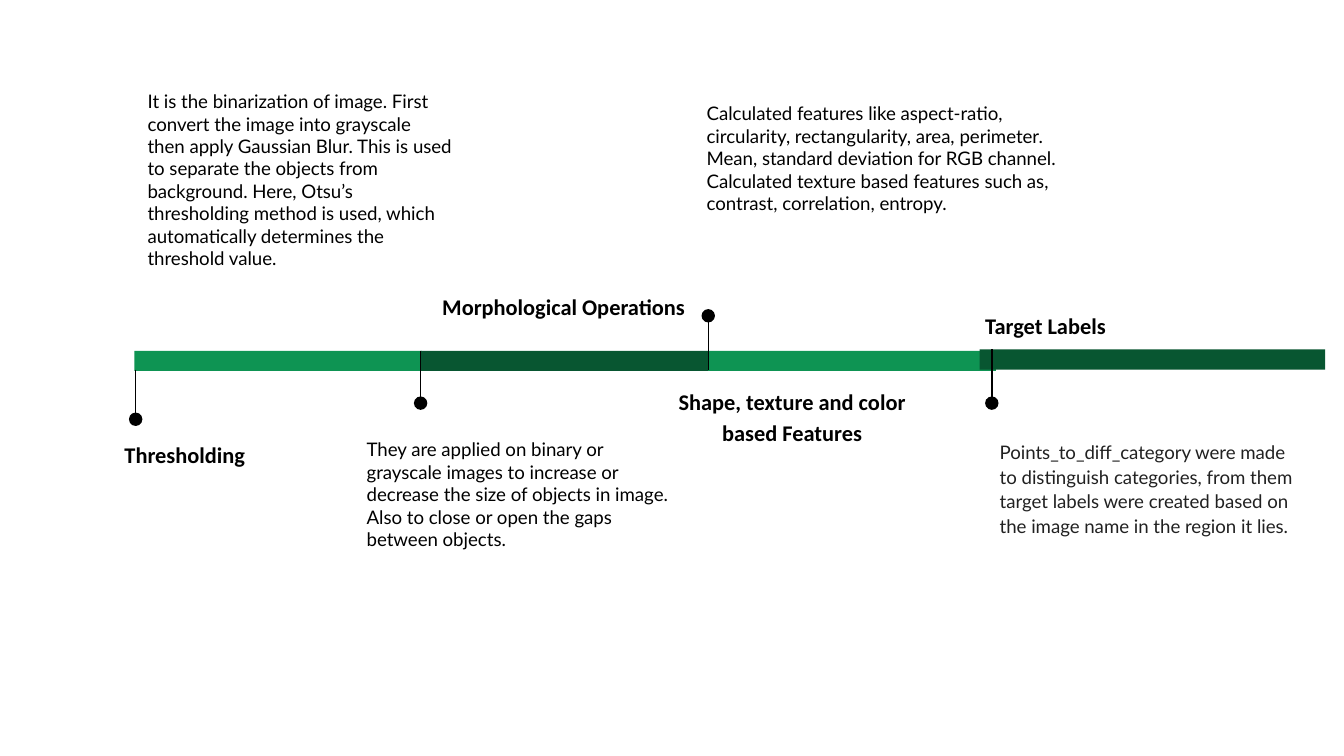
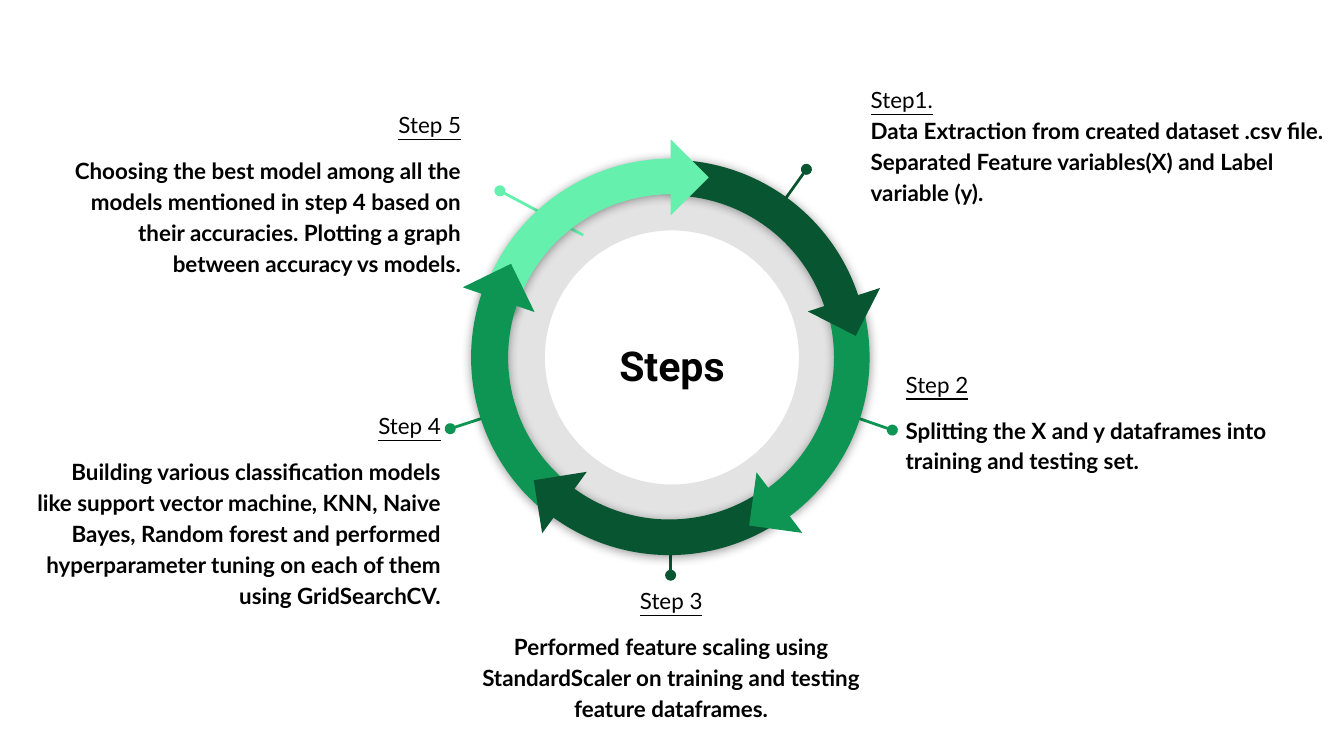
"""Build two slides: an image feature timeline and a five-step modelling cycle."""
from lxml import etree
from pptx import Presentation
from pptx.dml.color import RGBColor
from pptx.enum.shapes import MSO_CONNECTOR as LINE, MSO_SHAPE as SHAPE
from pptx.enum.text import MSO_ANCHOR as ANCHOR, PP_ALIGN as ALIGN
from pptx.oxml.ns import qn
from pptx.util import Inches, Pt

WIDE = 10
TALL = WIDE * 9 / 16
THEME = {
    "dark": "085631", "mid": "0E9453", "light": "65F0AD",
    "black": "000000", "grey": "212121", "hub": "020202",
    "head": {"name": "Calibri", "size": Pt(12), "bold": True},
    "body": {"name": "Lato", "size": Pt(10)},
    "step": {"name": "Lato", "size": Pt(12), "underline": True},
    "note": {"name": "Lato", "size": Pt(12), "bold": True},
    "title": {"name": "Roboto", "size": Pt(22), "bold": True},
}
LEAD = 1.15
LEFT, MID, RIGHT = ALIGN.LEFT, ALIGN.CENTER, ALIGN.RIGHT

STAGES = [
    {"head": "Thresholding", "head_at": (0.53, 3.15, 1.69, 0.41),
     "body": ["It is the binarization of image. First convert the image into "
              "grayscale then apply Gaussian Blur. This is used to separate the "
              "objects from background. Here, Otsu’s thresholding method is used, "
              "which automatically determines the threshold value."],
     "body_at": (1, 0.57, 2.46, 1.03),
     "bar": (1, 2.61, 2.14, 0.15), "fill": "mid", "stem": (1.01, 2.75, 3.12)},
    {"head": "Morphological Operations", "head_at": (3.03, 2.05, 2.33, 0.41),
     "body": ["They are applied on binary or grayscale images to increase or "
              "decrease the size of objects in image. Also to close or open the "
              "gaps between objects."],
     "body_at": (2.63, 3.16, 2.46, 1.03),
     "bar": (3.13, 2.61, 2.14, 0.15), "fill": "dark", "stem": (3.13, 2.61, 3)},
    {"head": "Shape, texture and color based Features",
     "head_at": (4.91, 2.76, 1.97, 0.41),
     "body": ["Calculated features like aspect-ratio, circularity, "
              "rectangularity, area, perimeter.",
              "Mean, standard deviation for RGB channel.",
              "Calculated texture based features such as, contrast, "
              "correlation, entropy."],
     "body_at": (5.16, 0.66, 2.86, 1.03),
     "bar": (5.27, 2.61, 2.14, 0.15), "fill": "mid", "stem": (5.27, 2.75, 2.35)},
    {"head": "Target Labels", "head_at": (6.98, 2.19, 1.6, 0.41),
     "body": ["Points_to_diff_category were made to distinguish categories, from "
              "them target labels were created based on the image name in the "
              "region it lies."],
     "body_at": (7.34, 3.16, 2.46, 1.03), "ink": "grey", "lead": 1.11,
     "bar": (7.29, 2.6, 2.57, 0.15), "fill": "dark", "stem": (7.38, 2.6, 3)},
]

STEPS = [
    ("Step1.", ["Data Extraction from created dataset .csv file.",
                "Separated Feature variables(X) and Label variable (y)."],
     (6.38, 0.51, 3.65, 1.24), LEFT, 0, "dark", (6, 1.26, 5.7, 1.68)),
    ("Step 5", ["Choosing the best model among all the models mentioned in step 4 "
                "based on their accuracies. Plotting a graph between accuracy vs "
                "models."],
     (0.45, 0.7, 3.08, 0.73), RIGHT, 8, "light", (3.72, 1.42, 4.34, 1.75)),
    ("Step 2", ["Splitting the X and y dataframes into training and testing set."],
     (6.64, 2.63, 3.28, 0.73), LEFT, 8, "mid", (6.64, 3.2, 6.15, 3.03)),
    ("Step 4", ["Building various classification models like support vector "
                "machine, KNN, Naive Bayes, Random forest and performed "
                "hyperparameter tuning on each of them using GridSearchCV."],
     (0.15, 2.94, 3.23, 1.6), RIGHT, 8, "mid", (3.35, 3.19, 3.84, 3.03)),
    ("Step 3", ["Performed feature scaling using StandardScaler on training and "
                "testing feature dataframes."],
     (3.38, 4.24, 3.23, 0.73), MID, 8, "dark", (4.99, 4.28, 4.99, 3.87)),
]

ARCS = [
    ((3.52, 1.19, 2.94, 2.94), 30, False, (144.14, 189.99, 0.09), "dark", 0),
    ((3.53, 1.19, 2.94, 2.94), 210, True, (201.79, 26.24, 0.09), "mid", 0),
    ((3.52, 1.18, 2.95, 2.95), 330, True, (143.34, 188.55, 0.09), "light", 0),
    ((3.51, 1.19, 2.94, 2.94), 150, False, (201.85, 30.07, 0.09), "mid", 0.75),
    ((3.51, 1.19, 2.94, 2.94), 210, True, (157.39, 200.08, 0.09), "dark", 0),
]
TIPS = [(6.08, 2.03, 297, "dark"), (3.51, 2.03, 154, "mid"),
        (5.6, 3.54, 7.9, "mid"), (4, 3.54, 81, "dark"), (4.79, 1.12, 225, "light")]


def ink(name):
    """Return a theme colour."""
    return RGBColor.from_string(THEME[name])


def node(root, tag, **vals):
    """Append a drawing element with its attributes."""
    return etree.SubElement(root, qn(tag), {key: str(val) for key, val in vals.items()})


def lens(at):
    """Turn numbers into lengths."""
    return [Inches(val) for val in at]


def add_part(pool, kind, at, fill, turn=0, adj=(), edge=0):
    """Add a filled preset shape without shadow."""
    part = pool.add_shape(kind, *lens(at))
    part.shadow.inherit = False
    part.rotation = turn
    for i, val in enumerate(adj):
        part.adjustments[i] = val
    part.fill.solid()
    part.fill.fore_color.rgb = ink(fill)
    if edge:
        part.line.color.rgb = ink(fill)
        part.line.width = Pt(edge)
    else:
        part.line.fill.background()
    return part


def add_line(pool, ends, color, width, oval=False):
    """Add a straight line, with a dot at its start on request."""
    line = pool.add_connector(LINE.STRAIGHT, *lens(ends))
    line.line.color.rgb = ink(color)
    line.line.width = Pt(width)
    props = line._element.spPr
    if oval:
        node(props.find(qn("a:ln")), "a:headEnd", type="oval")
    node(props, "a:effectLst")


def add_text(pool, at, paras, align=LEFT, lead=None, color="black", gap=0):
    """Add a text box from (text, style) pairs, with a gap after the first."""
    box = pool.add_textbox(*lens(at))
    frame = box.text_frame
    frame.word_wrap = True
    for side in ("left", "right", "top", "bottom"):
        setattr(frame, "margin_" + side, Inches(0.1))
    for i, (words, style) in enumerate(paras):
        para = frame.add_paragraph() if i else frame.paragraphs[0]
        para.alignment = align
        if lead:
            para.line_spacing = lead
        if i == 1 and gap:
            para.space_before = Pt(gap)
        run = para.add_run()
        run.text = words
        for key, val in THEME[style].items():
            setattr(run.font, key, val)
        run.font.color.rgb = ink(color)
    return frame


def add_stage(pool, item):
    """Draw one part of the timeline."""
    add_part(pool, SHAPE.RECTANGLE, item["bar"], item["fill"])
    x, base, tip = item["stem"]
    add_line(pool, (x, base, x, tip), "black", 0.75)
    add_part(pool, SHAPE.OVAL, (x - 0.05, tip - 0.05, 0.1, 0.1), "black")
    add_text(pool, item["head_at"], [(item["head"], "head")], MID, LEAD)
    add_text(pool, item["body_at"], [(words, "body") for words in item["body"]],
             lead=item.get("lead"), color=item.get("ink", "black"))


def add_arc(pool, at, turn, flip, adj, fill, edge):
    """Draw one shaded arc of the ring."""
    props = add_part(pool, SHAPE.BLOCK_ARC, at, fill, turn, adj, edge)._element.spPr
    if flip:
        props.xfrm.set("flipH", "1")
    shade = node(props.find(qn("a:effectLst")), "a:outerShdw", blurRad=Pt(5.6),
                 dist=Pt(0.8), dir=90 * 60000, algn="t", rotWithShape=0)
    node(node(shade, "a:srgbClr", val=THEME["black"]), "a:alpha", val=40000)


def add_cycle(pool):
    """Draw the ring with its steps."""
    ring = add_part(pool, SHAPE.DONUT, (3.61, 1.27, 2.78, 2.78), "black", adj=[0.16])
    node(ring._element.spPr.find(".//" + qn("a:srgbClr")), "a:alpha", val=11000)
    for name, notes, at, align, gap, color, ends in STEPS:
        group = pool.add_group_shape().shapes
        add_line(group, ends, color, 1.5, True)
        paras = [(name, "step")] + [(words, "note") for words in notes]
        add_text(group, at, paras, align, LEAD, gap=gap)
    for arc in ARCS:
        add_arc(pool, *arc)
    hub = add_text(pool, (4.21, 2.25, 1.58, 0.88), [("Steps", "title")], MID, LEAD, "hub")
    hub.vertical_anchor = ANCHOR.MIDDLE
    for x, y, turn, fill in TIPS:
        add_part(pool, SHAPE.RIGHT_TRIANGLE, (x, y, 0.4, 0.4), fill, turn)


def main():
    """Build and save the deck."""
    deck = Presentation()
    deck.slide_width, deck.slide_height = lens((WIDE, TALL))
    blank = deck.slide_layouts[6]
    pool = deck.slides.add_slide(blank).shapes
    for item in STAGES:
        add_stage(pool.add_group_shape().shapes, item)
    add_cycle(deck.slides.add_slide(blank).shapes)
    deck.save("out.pptx")


if __name__ == "__main__":
    main()
